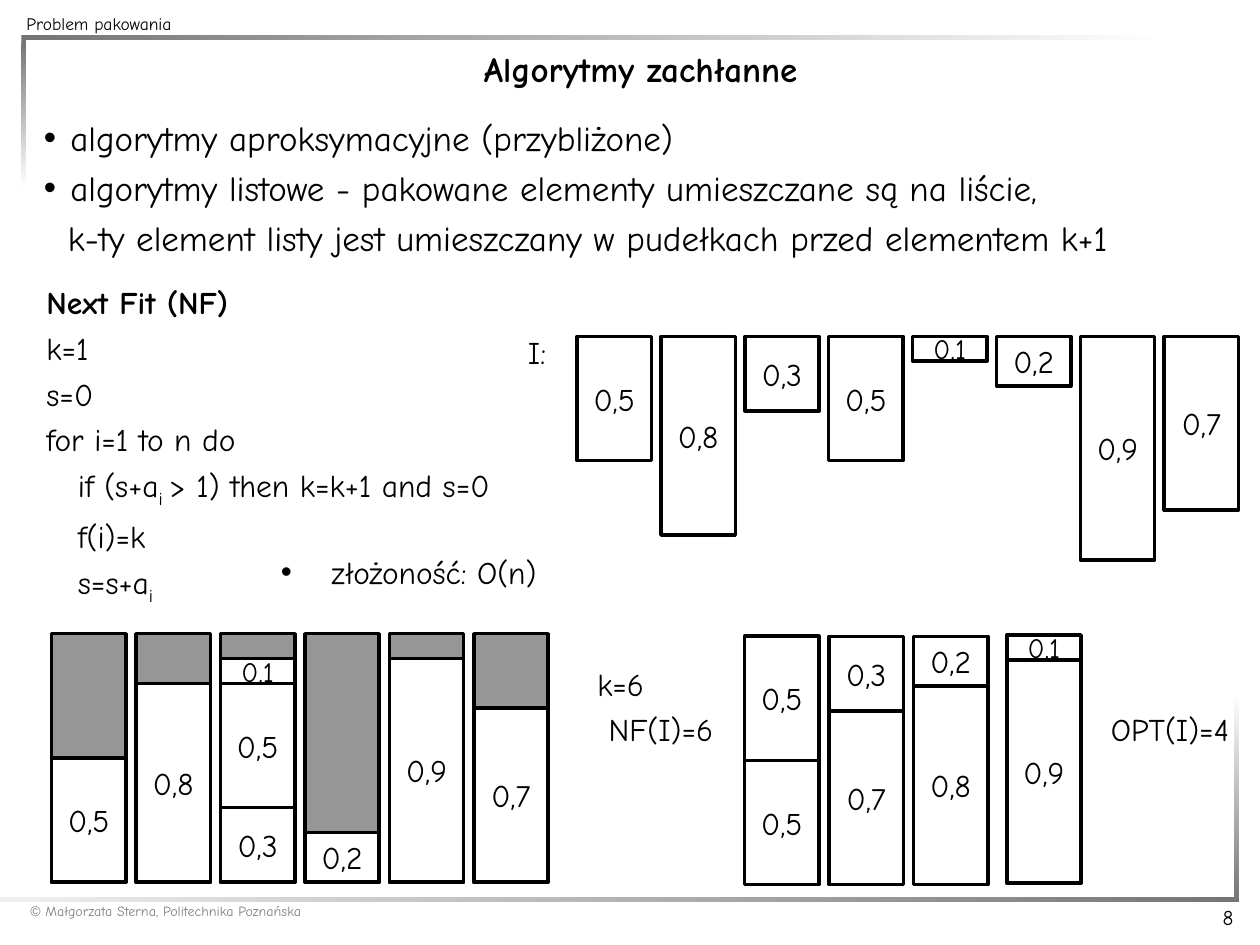
from dataclasses import dataclass

from lxml import etree
from pptx import Presentation
from pptx import util as u
from pptx.dml.color import RGBColor
from pptx.enum import shapes, text
from pptx.oxml.ns import qn

FONT = "Comic Neue"
BLACK, WHITE, GREY, DARK = "000000", "FFFFFF", "969696", "757575"
BIN_W, BIN_H = 0.59, 1.97  # a bin of capacity 1
LEFT, CENTER, RIGHT = text.PP_ALIGN.LEFT, text.PP_ALIGN.CENTER, text.PP_ALIGN.RIGHT


@dataclass
class Run:
    text: str
    size: float = 18
    bold: bool = False
    sub: bool = False
    color: str = BLACK
    font: str = FONT


@dataclass
class Para:
    runs: list[Run]
    before: float = 0
    margin: float = 0
    bullet: bool = False
    align: text.PP_ALIGN = LEFT


@dataclass
class Bar:
    left: float
    top: float
    width: float
    height: float
    start: str
    end: str


@dataclass
class Label:
    text: str
    left: float
    top: float
    width: float
    align: text.PP_ALIGN = LEFT


@dataclass
class Bin:
    left: float
    bottom: float
    items: list[float]  # from the bottom up


def rgb(color: str) -> RGBColor:
    return RGBColor.from_string(color)


def fill_text(tf, paras: list[Para], inset: tuple[float, float], middle: bool = False) -> None:
    tf.word_wrap = True
    tf.margin_left = tf.margin_right = u.Inches(inset[0])
    tf.margin_top = tf.margin_bottom = u.Inches(inset[1])
    tf.vertical_anchor = text.MSO_ANCHOR.MIDDLE if middle else text.MSO_ANCHOR.TOP
    for i, para in enumerate(paras):
        p = tf.add_paragraph() if i else tf.paragraphs[0]
        p.alignment = para.align
        p.space_before = u.Pt(para.before)
        pPr = p._p.get_or_add_pPr()
        pPr.set("marL", str(u.Inches(para.margin)))
        if para.bullet:
            pPr.set("indent", str(u.Inches(-para.margin)))
            etree.SubElement(pPr, qn("a:buFont")).set("typeface", "Arial")
            etree.SubElement(pPr, qn("a:buChar")).set("char", "•")
        for run in para.runs:
            r = p.add_run()
            r.text = run.text
            r.font.size, r.font.bold, r.font.name = u.Pt(run.size), run.bold, run.font
            r.font.color.rgb = rgb(run.color)
            if run.sub:
                r._r.get_or_add_rPr().set("baseline", "-25000")


def add_text(s, left: float, top: float, width: float, height: float,
             paras: list[Para], inset=(0.0, 0.0), middle: bool = False) -> None:
    sp = s.shapes.add_textbox(*map(u.Inches, (left, top, width, height)))
    fill_text(sp.text_frame, paras, inset, middle)


def add_rect(s, left: float, top: float, width: float, height: float):
    sp = s.shapes.add_shape(shapes.MSO_SHAPE.RECTANGLE, *map(u.Inches, (left, top, width, height)))
    sp.shadow.inherit = False
    return sp


def add_bar(s, bar: Bar) -> None:
    sp = add_rect(s, bar.left, bar.top, bar.width, bar.height)
    sp.line.fill.background()
    sp.fill.gradient()
    sp.fill.gradient_angle = 0 if bar.width > bar.height else 270
    for stop, color in zip(sp.fill.gradient_stops, (bar.start, bar.end)):
        stop.color.rgb = rgb(color)


def add_block(s, left: float, top: float, share: float, color: str):
    sp = add_rect(s, left, top, BIN_W, share * BIN_H)
    sp.fill.solid()
    sp.fill.fore_color.rgb = rgb(color)
    sp.line.color.rgb = rgb(BLACK)
    sp.line.width = u.Pt(2)
    return sp


def add_item(s, left: float, top: float, value: float) -> None:
    sp = add_block(s, left, top, value, WHITE)
    run = Run(f"{value:.1f}".replace(".", ","), 16 if value < 0.2 else 18)
    fill_text(sp.text_frame, [Para([run], align=CENTER)], (0, 0), True)


def add_bin(s, b: Bin) -> None:
    if sum(b.items) < 0.99:
        add_block(s, b.left, b.bottom - BIN_H, 1, GREY)
    top = b.bottom
    for value in b.items:
        top -= value * BIN_H
        add_item(s, b.left, top, value)


BARS = [
    Bar(0, 7.12, 9.81, 0.04, "F0F0F0", DARK),
    Bar(9.79, 5.5, 0.04, 1.66, WHITE, DARK),
    Bar(0.17, 0.32, 0.04, 1.17, DARK, WHITE),
    Bar(0.17, 0.28, 9.11, 0.04, DARK, WHITE),
]
INTRO = [
    Para([Run("Algorytmy zachłanne", 20, True)], 5, align=CENTER),
    Para([Run("algorytmy aproksymacyjne (przybliżone)", 20)], 15, 0.21, True),
    Para([Run("algorytmy listowe - pakowane elementy umieszczane są na liście,", 20)], 5, 0.21, True),
    Para([Run("k-ty element listy jest umieszczany w pudełkach przed elementem k+1", 20)], 4.5, 0.19),
]
CODE = [
    Para([Run("Next Fit (NF)", bold=True)], 4.5),
    *(Para([Run(line)], 4.5) for line in ("k=1", "s=0", "for i=1 to n do")),
    Para([Run("if (s+a"), Run("i ", sub=True), Run("> 1) then k=k+1 and s=0")], 4.5, 0.25),
    Para([Run("f(i)=k")], 4.5, 0.25),
    Para([Run("s=s+a"), Run("i", sub=True)], 4.5, 0.25),
]
LABELS = [
    Label("I:", 4.19, 2.6, 1.01),
    Label("k=6", 4.74, 5.23, 1.01),
    Label("NF(I)=6", 4.74, 5.59, 1.01, CENTER),
    Label("OPT(I)=4", 8.66, 5.59, 1.25, CENTER),
]
ITEMS = [0.5, 0.8, 0.3, 0.5, 0.1, 0.2, 0.9, 0.7]
NF_PACKING = [[0.5], [0.8], [0.3, 0.5, 0.1], [0.2], [0.9], [0.7]]
OPT_BINS = [
    Bin(5.91, 7.02, [0.5, 0.5]),
    Bin(6.58, 7.02, [0.7, 0.3]),
    Bin(7.25, 7.02, [0.8, 0.2]),
    Bin(7.99, 7.01, [0.9, 0.1]),
]


def main() -> None:
    prs = Presentation()
    prs.slide_width, prs.slide_height = u.Inches(10), u.Inches(7.5)
    s = prs.slides.add_slide(prs.slide_layouts[6])

    # Frame, header and footer
    for bar in BARS:
        add_bar(s, bar)
    small = (0.02, 0.02)
    add_text(s, 0.19, 0.08, 4.11, 0.21, [Para([Run("Problem pakowania", 10)], 1.2)], small)
    credit = [Run("©", 8, color="808080", font="Arial"),
              Run(" Małgorzata Sterna, Politechnika Poznańska", 8, color="808080")]
    add_text(s, 0.22, 7.14, 4.11, 0.17, [Para(credit, 1)], small)
    add_text(s, 9.44, 7.16, 0.37, 0.24, [Para([Run("8", 12)], 1.5, align=RIGHT)], small)

    # Title, introduction and pseudocode
    add_text(s, 0.25, 0.33, 9.67, 1.99, INTRO, (0.1, 0.05))
    add_text(s, 0.27, 2.2, 4.33, 3.39, CODE, (0.1, 0.05))
    add_text(s, 2.23, 4.24, 2.35, 0.59,
             [Para([Run("złożoność: O(n)")], margin=0.4, bullet=True)], middle=True)

    # Item list, Next Fit packing and optimal packing
    for i, value in enumerate(ITEMS):
        add_item(s, 4.58 + i * 4.66 / 7, 2.67, value)
    for i, items in enumerate(NF_PACKING):
        add_bin(s, Bin(0.41 + i * 0.67, 7, items))
    for b in OPT_BINS:
        add_bin(s, b)
    for label in LABELS:
        add_text(s, label.left, label.top, label.width, 0.39,
                 [Para([Run(label.text)], align=label.align)], middle=True)

    prs.save("out.pptx")


if __name__ == "__main__":
    main()
